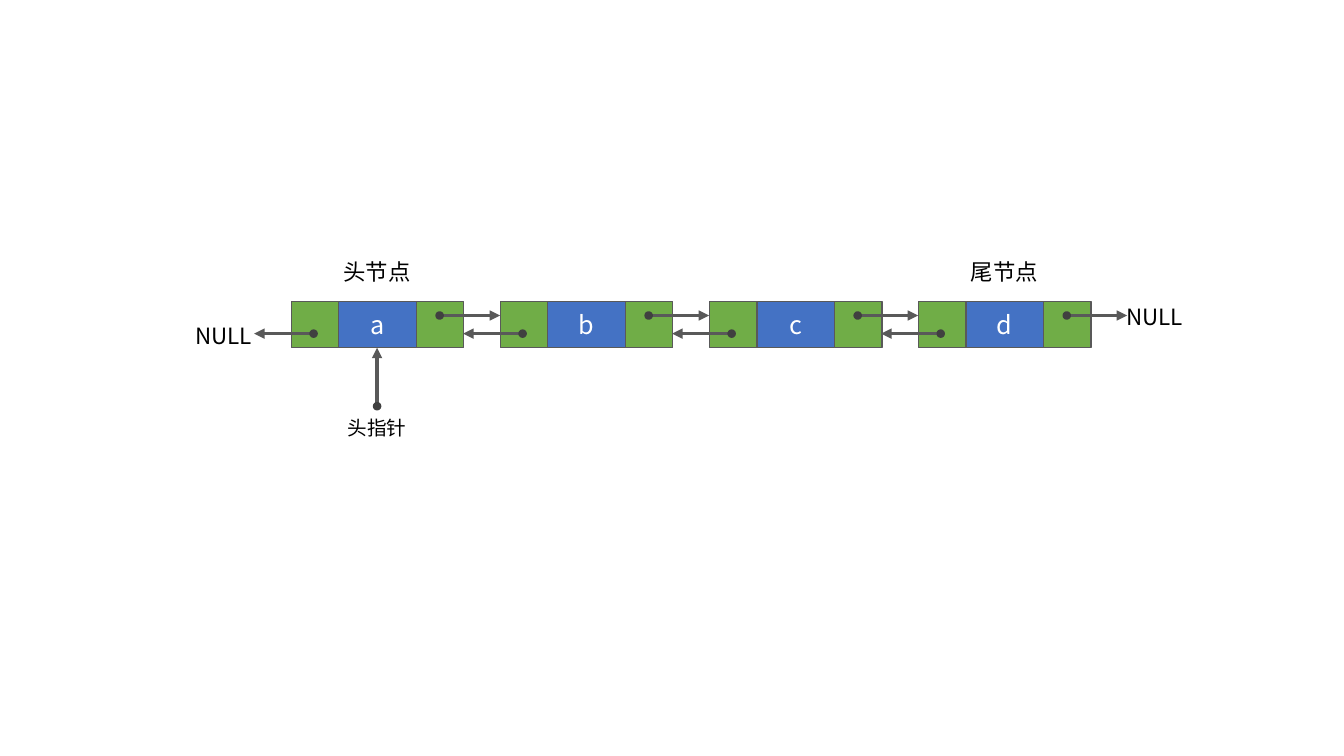
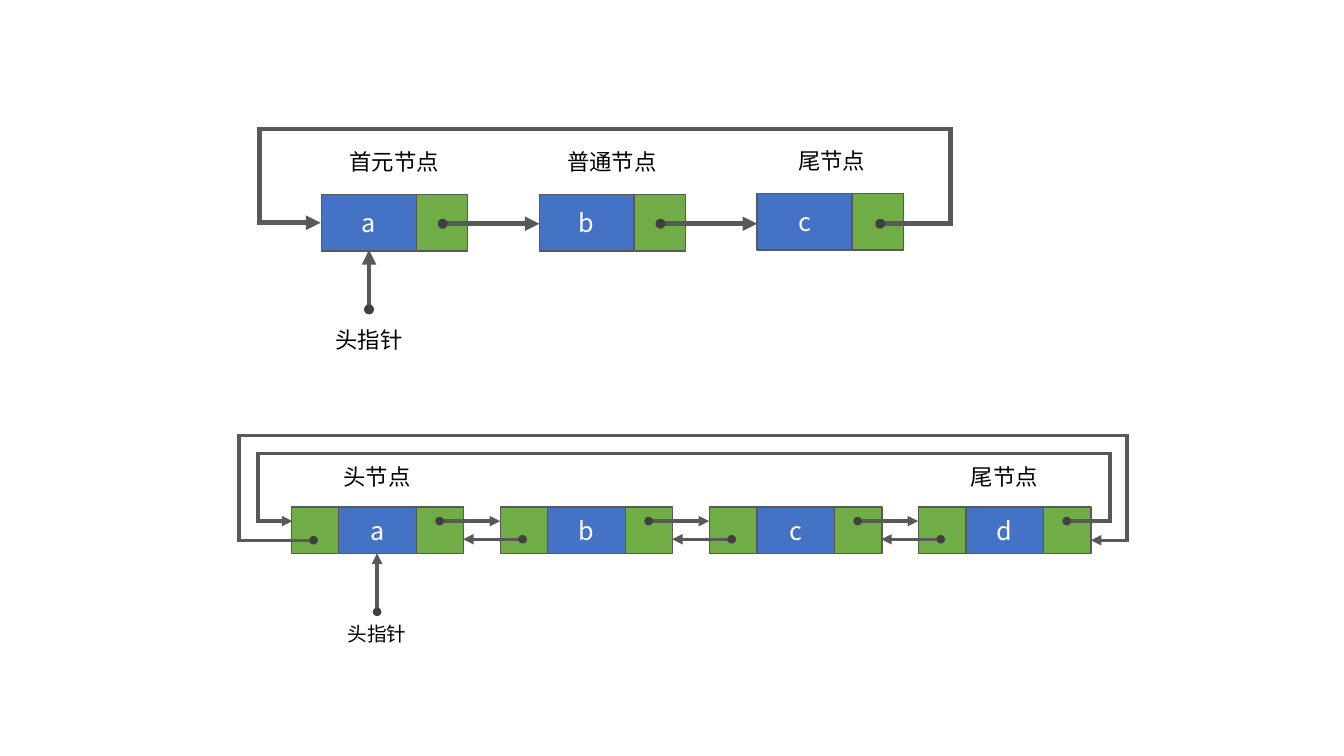
from lxml import etree
from pptx import Presentation
from pptx.dml.color import RGBColor
from pptx.enum import shapes, text
from pptx.oxml.ns import qn
from pptx.util import Inches, Pt

BLUE = RGBColor(0x44, 0x72, 0xC4)
GREEN = RGBColor(0x70, 0xAD, 0x47)
GRAY = RGBColor(0x59, 0x59, 0x59)
DARK = RGBColor(0x40, 0x40, 0x40)
BLACK = RGBColor(0, 0, 0)
WHITE = RGBColor(255, 255, 255)
FONT = "Noto Sans CJK SC"
DOT = 0.05


def write(shape, words, size, color):
    """Put one centred line of text into a shape."""
    para = shape.text_frame.paragraphs[0]
    para.alignment = text.PP_ALIGN.CENTER
    span = para.add_run()
    span.text = words
    span.font.size = Pt(size)
    span.font.name = FONT
    span.font.color.rgb = color
    etree.SubElement(span.font._element, qn("a:ea"), typeface=FONT)


def add_shape(page, kind, left, top, width, height, fill, line, weight):
    """Add a filled, outlined shape without a shadow."""
    shape = page.shapes.add_shape(kind, Inches(left), Inches(top), Inches(width), Inches(height))
    shape.shadow.inherit = False
    shape.fill.solid()
    shape.fill.fore_color.rgb = fill
    shape.line.color.rgb = line
    shape.line.width = Pt(weight)
    return shape


deck = Presentation()
deck.slide_width, deck.slide_height = Inches(13.33), Inches(7.5)
blank = deck.slide_layouts[6]
linear_page = deck.slides.add_slide(blank)
circular_page = deck.slides.add_slide(blank)

cells = []   # page, left, top, width, height, fill, words
labels = []  # page, centre, top, width, words, size
routes = []  # page, line weight, points from dot to arrowhead

# Doubly linked lists: four nodes, each with previous, value and next cells
first, pitch = 2.89, 6.22 / 3
for page, top in ((linear_page, 2.99), (circular_page, 5.03)):
    next_y, previous_y = top + 0.14, top + 0.32
    for index, letter in enumerate("abcd"):
        left = first + index * pitch
        cells += [
            (page, left, top, 0.47, 0.46, GREEN, ""),
            (page, left + 0.47, top, 0.77, 0.46, BLUE, letter),
            (page, left + 1.24, top, 0.47, 0.46, GREEN, ""),
        ]
        if page is linear_page or letter != "d":
            routes.append((page, 2.5, [(left + 1.47, next_y), (left + 2.07, next_y)]))
        if page is linear_page or letter != "a":
            routes.append((page, 2.5, [(left + 0.22, previous_y), (left - 0.37, previous_y)]))
    routes.append((page, 2.5, [(3.74, top + 1.04), (3.74, top + 0.46)]))
    labels += [
        (page, 3.74, top + 1.09, 1.04, "头指针", 14),
        (page, 3.74, top - 0.48, 1.04, "头节点", 16),
        (page, 9.96, top - 0.48, 1.04, "尾节点", 16),
    ]

# Ends of the open list, and loops that close the circular one
labels += [
    (linear_page, 2.22, 3.15, 1.04, "NULL", 16),
    (linear_page, 11.45, 2.96, 1.04, "NULL", 16),
]
routes += [
    (circular_page, 2.5, [(10.58, 5.17), (11.01, 5.17), (11.01, 4.5),
                          (2.56, 4.5), (2.56, 5.17), (2.9, 5.17)]),
    (circular_page, 2.5, [(3.11, 5.36), (2.37, 5.36), (2.37, 4.32),
                          (11.18, 4.32), (11.18, 5.36), (10.82, 5.36)]),
]

# Singly linked circular list: three nodes with value and next cells
for index, (letter, words, width) in enumerate(
        (("a", "首元节点", 1.3), ("b", "普通节点", 1.3), ("c", "尾节点", 1.04))):
    left = 3.19 + index * 2.16
    top = 1.92 if letter == "c" else 1.93
    cells += [
        (circular_page, left, top, 0.94, 0.56, BLUE, letter),
        (circular_page, left + 0.94, top, 0.51, 0.56, GREEN, ""),
    ]
    labels.append((circular_page, left + (0.74 if letter == "c" else 0.72),
                   top - 0.51, width, words, 16))
    if letter != "c":
        routes.append((circular_page, 3.5, [(left + 1.2, 2.22), (left + 2.16, 2.22)]))
routes += [
    (circular_page, 3.5, [(3.66, 3.07), (3.66, 2.48)]),
    (circular_page, 3.5, [(8.73, 2.22), (9.43, 2.22), (9.43, 1.28),
                          (2.57, 1.28), (2.57, 2.21), (3.18, 2.21)]),
]
labels.append((circular_page, 3.66, 3.19, 1.04, "头指针", 16))

# Draw the cells
for page, left, top, width, height, fill, letter in cells:
    cell = add_shape(page, shapes.MSO_SHAPE.RECTANGLE, left, top, width, height, fill, GRAY, 1)
    cell.text_frame.vertical_anchor = text.MSO_ANCHOR.MIDDLE
    if letter:
        write(cell, letter, 18, WHITE)

# Draw the routes: straight segments, an arrowhead at the end, a dot at the start
for page, weight, points in routes:
    for start, end in zip(points, points[1:]):
        segment = page.shapes.add_connector(
            shapes.MSO_CONNECTOR.STRAIGHT, *(Inches(value) for value in start + end))
        segment.line.color.rgb = GRAY
        segment.line.width = Pt(weight)
        outline = segment.line._get_or_add_ln()
        if end == points[-1]:
            etree.SubElement(outline, qn("a:tailEnd"), type="triangle")
        else:
            outline.set("cap", "sq")
        etree.SubElement(segment._element.spPr, qn("a:effectLst"))
    x, y = points[0]
    add_shape(page, shapes.MSO_SHAPE.OVAL, x - DOT / 2, y - DOT / 2, DOT, DOT, DARK, DARK, weight)

# Draw the labels
for page, centre, top, width, words, size in labels:
    box = page.shapes.add_textbox(Inches(centre - width / 2), Inches(top), Inches(width),
                                  Inches(0.34 if size == 14 else 0.37))
    box.text_frame.word_wrap = True
    box.text_frame.auto_size = text.MSO_AUTO_SIZE.SHAPE_TO_FIT_TEXT
    write(box, words, size, BLACK)

deck.save("out.pptx")
